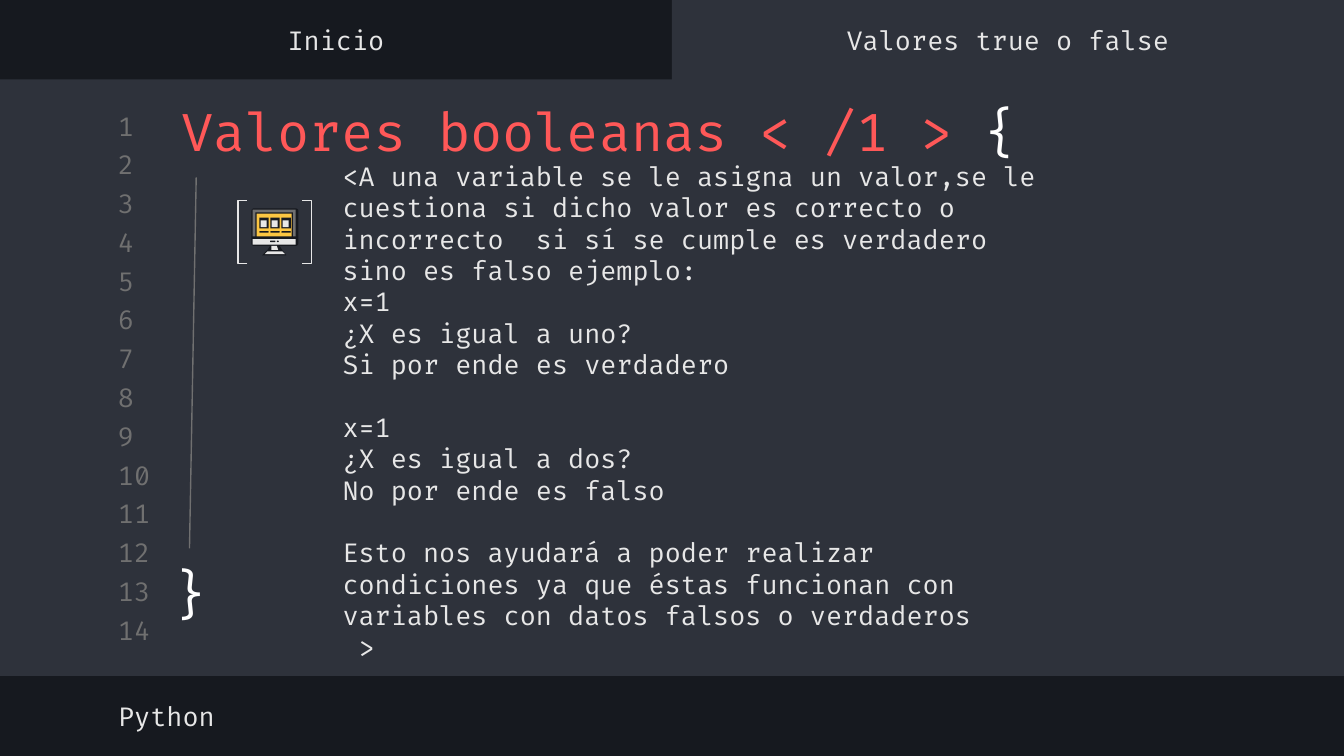
from pptx import Presentation
from pptx.dml.color import RGBColor
from pptx.enum.shapes import MSO_CONNECTOR, MSO_SHAPE
from pptx.enum.text import MSO_ANCHOR, PP_ALIGN
from pptx.oxml.ns import qn
from pptx.util import Inches, Pt
from lxml.etree import SubElement

DARK = RGBColor(0x16, 0x19, 0x1F)
PANEL = RGBColor(0x2E, 0x32, 0x3B)
GREY = RGBColor(0x70, 0x70, 0x70)
LIGHT = RGBColor(0xE7, 0xE7, 0xE7)
WHITE = RGBColor(0xFF, 0xFF, 0xFF)
RED = RGBColor(0xFF, 0x58, 0x58)
YELLOW = RGBColor(0xFC, 0xC6, 0x42)

COLS, ROWS = 100, 56.25
BODY = [
    ("<A una variable se le asigna un valor,se le cuestiona si dicho valor es "
     "correcto o incorrecto  si sí se cumple es verdadero sino es falso ejemplo:", 0),
    ("x=1", 0),
    ("¿X es igual a uno?", 0),
    ("Si por ende es verdadero", 0),
    ("x=1", 16.8),
    ("¿X es igual a dos?", 0),
    ("No por ende es falso", 0),
    ("Esto nos ayudará a poder realizar condiciones ya que éstas funcionan con "
     "variables con datos falsos o verdaderos", 16.8),
    (" >", 0),
]


def add_run(p, text, size=14, color=LIGHT, font="Fira Code"):
    r = p.add_run()
    r.text = text
    r.font.name = font
    r.font.size = Pt(size)
    r.font.color.rgb = color


class Deck:
    def __init__(self):
        self.prs = Presentation()
        self.prs.slide_width = Inches(10)
        self.prs.slide_height = Inches(5.625)
        self.s = self.prs.slides.add_slide(self.prs.slide_layouts[6])
        self.s.background.fill.solid()
        self.s.background.fill.fore_color.rgb = DARK

    def grid(self, *values):
        unit = self.prs.slide_width / COLS
        return [round(v * unit) for v in values]

    def paint(self, sp, fill=None, line=None):
        sp.shadow.inherit = False
        if fill is None:
            sp.fill.background()
        else:
            sp.fill.solid()
            sp.fill.fore_color.rgb = fill
        if line is None:
            sp.line.fill.background()
        else:
            sp.line.color.rgb = line
            sp.line.width = Pt(0.75)

    def shape(self, kind, box, fill=None, line=None, adj=None):
        sp = self.s.shapes.add_shape(kind, *self.grid(*box))
        if adj is not None:
            sp.adjustments[0] = adj
        self.paint(sp, fill, line)

    def polygon(self, points, fill):
        pts = [tuple(self.grid(*pt)) for pt in points]
        fb = self.s.shapes.build_freeform(*pts[0])
        fb.add_line_segments(pts[1:], close=True)
        self.paint(fb.convert_to_shape(), fill)

    def text(self, box, paragraphs, align=PP_ALIGN.LEFT, anchor=MSO_ANCHOR.MIDDLE):
        tf = self.s.shapes.add_textbox(*self.grid(*box)).text_frame
        tf.word_wrap = True
        tf.vertical_anchor = anchor
        tf.margin_left = tf.margin_right = tf.margin_top = tf.margin_bottom = Inches(0.1)
        for i, (runs, before) in enumerate(paragraphs):
            p = tf.add_paragraph() if i else tf.paragraphs[0]
            p.alignment = align
            p.space_before = Pt(before)
            for text, fmt in runs:
                add_run(p, text, **fmt)

    def label(self, box, text, align=PP_ALIGN.LEFT, anchor=MSO_ANCHOR.MIDDLE, **fmt):
        self.text(box, [([(text, fmt)], 0)], align, anchor)

    def line(self, start, end, color):
        c = self.s.shapes.add_connector(
            MSO_CONNECTOR.STRAIGHT, *self.grid(*start, *end))
        c.line.color.rgb = color
        c.line.width = Pt(0.75)
        SubElement(c._element.spPr, qn("a:effectLst"))

    def monitor(self):
        rect, rounded = MSO_SHAPE.RECTANGLE, MSO_SHAPE.ROUNDED_RECTANGLE
        self.shape(rounded, (18.7, 15.5, 3.5, 2.8), DARK, adj=0.07)
        self.shape(rect, (18.8, 15.6, 3.2, 2), GREY)
        self.shape(rect, (19, 15.8, 2.8, 1.9), DARK)
        self.shape(rect, (19.1, 15.9, 2.6, 1.7), YELLOW)
        self.shape(rect, (18.8, 17.8, 3.2, 0.4), LIGHT)
        self.polygon([(20.1, 18.3), (20.8, 18.3), (21, 18.6), (21.3, 19),
                      (19.5, 19), (19.9, 18.6)], DARK)
        self.polygon([(20.2, 18.3), (20.6, 18.3), (20.7, 18.6), (20.2, 18.6)], LIGHT)
        self.polygon([(19.9, 18.7), (21, 18.7), (21.2, 18.9), (19.7, 18.9)], LIGHT)
        for i in range(3):
            x = 19.3 + 0.82 * i
            self.shape(rect, (x, 16.2, 0.7, 0.8), DARK)
            self.shape(rect, (x + 0.1, 16.4, 0.45, 0.5), LIGHT)
            self.shape(rounded, (x, 17.2, 0.7, 0.12), DARK, adj=0.5)
        self.shape(rounded, (20.1, 17.9, 0.4, 0.12), DARK, adj=0.5)
        self.shape(MSO_SHAPE.OVAL, (20.6, 17.9, 0.15, 0.12), DARK)


def main():
    d = Deck()
    half = COLS / 2
    d.shape(MSO_SHAPE.RECTANGLE, (0, 5.9, COLS, 44.4), PANEL)
    d.shape(MSO_SHAPE.RECTANGLE, (half, 0, half, 6.5), PANEL)
    for i in range(14):
        d.label((7.8, 8.15 + 2.885 * i, 4.7, 2.4), str(i + 1), color=GREY)

    d.text((24.5, 13.7, 55.9, 33.8), [([(t, {})], gap) for t, gap in BODY])
    d.text((12.5, 6.8, 64.9, 5.8), [([
        ("Valores booleanas < /1 > ", {"size": 28, "color": RED}),
        ("{", {"size": 28, "color": WHITE})], 0)])

    d.monitor()
    d.label((7.8, 51.3, 53.2, 3.9), "Python")
    for i, tab in enumerate(("Inicio", "Valores true o false")):
        d.label((half * i, 1, half, 3.9), tab, PP_ALIGN.CENTER)

    d.shape(MSO_SHAPE.RIGHT_BRACKET, (22.5, 14.9, 0.7, 4.7), line=LIGHT, adj=0)
    d.shape(MSO_SHAPE.LEFT_BRACKET, (17.7, 14.9, 0.7, 4.7), line=LIGHT, adj=0)
    d.line((14.6, 13.2), (14.1, 40.8), GREY)
    d.label((11.4, 40.8, 5.5, 6.7), "}", PP_ALIGN.CENTER, MSO_ANCHOR.TOP,
            size=28, color=WHITE)
    d.prs.save("out.pptx")


if __name__ == "__main__":
    main()
